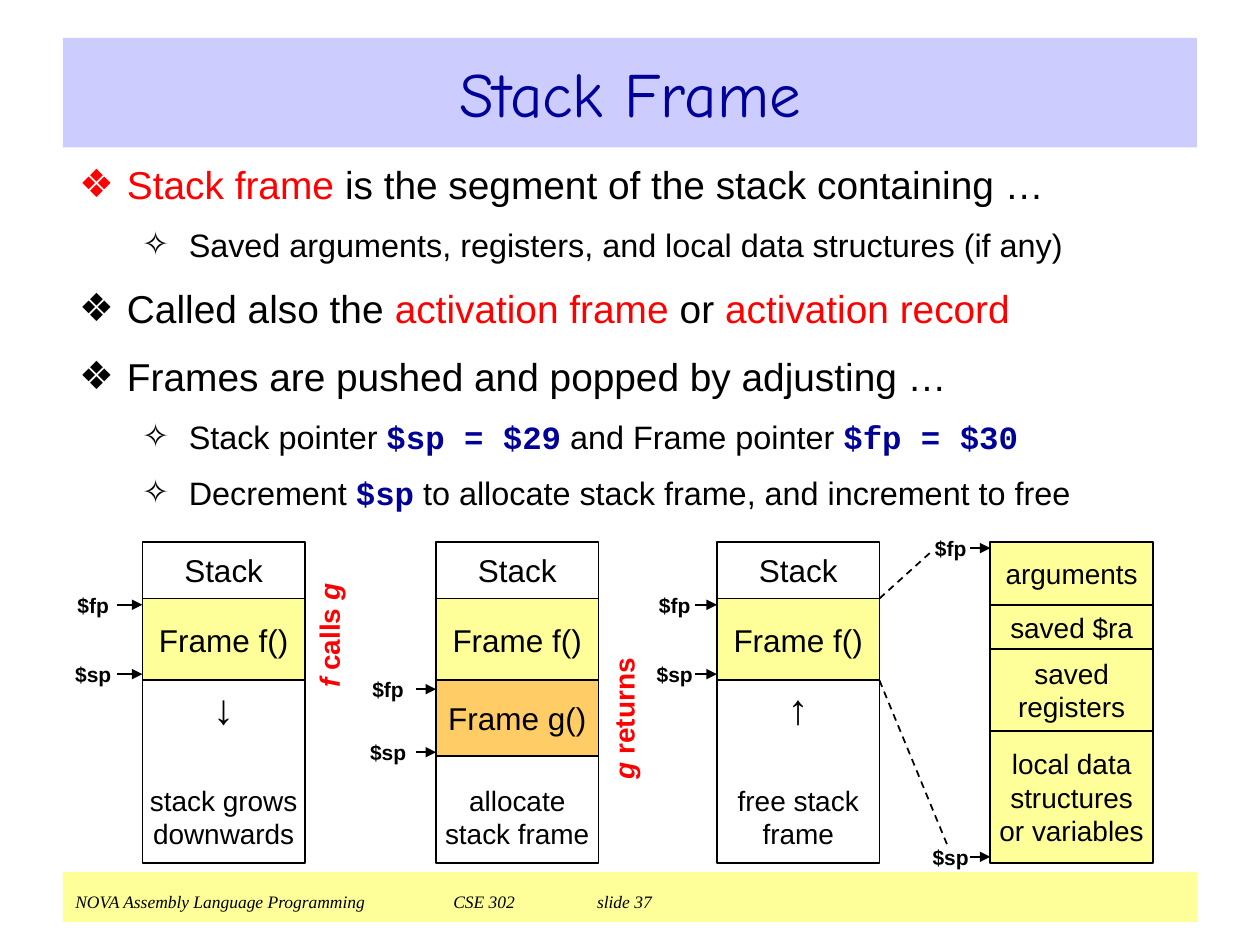
from dataclasses import dataclass

from lxml.etree import SubElement
from pptx import Presentation
from pptx.dml.color import RGBColor
from pptx.enum.dml import MSO_LINE
from pptx.enum.shapes import MSO_CONNECTOR, MSO_SHAPE
from pptx.enum.text import MSO_ANCHOR, PP_ALIGN
from pptx.oxml.ns import qn
from pptx.util import Pt

PX = 9144
BLACK = RGBColor(0x00, 0x00, 0x00)
WHITE = RGBColor(0xFF, 0xFF, 0xFF)
RED = RGBColor(0xFF, 0x00, 0x00)
NAVY = RGBColor(0x00, 0x00, 0x99)
LAVENDER = RGBColor(0xCC, 0xCC, 0xFF)
YELLOW = RGBColor(0xFF, 0xFF, 0x99)
ORANGE = RGBColor(0xFF, 0xCC, 0x66)
STACK_TOP = 430
STACK_WIDTH = 129
BULLETS = {0: ("❖", 38, -38, 22.2, 12), 1: ("✧", 87, -37, 18.5, 10)}


@dataclass(frozen=True)
class Span:
    text: str
    color: RGBColor = BLACK
    font: str = "Arial"
    bold: bool = False
    italic: bool = False


@dataclass(frozen=True)
class Bullet:
    level: int
    spans: tuple[Span, ...]
    color: RGBColor = BLACK


@dataclass(frozen=True)
class Cell:
    text: str
    height: int
    fill: RGBColor = YELLOW
    size: int = 18
    at_bottom: bool = False
    arrow: str = ""


@dataclass(frozen=True)
class Stack:
    left: int
    cells: tuple[Cell, ...]
    label_left: int
    label_width: int
    arrow_left: int
    frame_pointer: int
    stack_pointer: int


@dataclass(frozen=True)
class Caption:
    left: int
    top: int
    width: int
    spans: tuple[Span, ...]


def code(text: str) -> Span:
    return Span(text, NAVY, "Courier New", bold=True)


def style(run, size: float, span: Span) -> None:
    run.font.size = Pt(size)
    run.font.name = span.font
    run.font.color.rgb = span.color
    run.font.bold = span.bold
    run.font.italic = span.italic


def write(paragraph, size: float, spans: tuple[Span, ...]) -> None:
    for span in spans:
        run = paragraph.add_run()
        run.text = span.text
        style(run, size, span)


def set_frame(shape, margins: tuple[int, int, int, int], anchor=MSO_ANCHOR.TOP):
    frame = shape.text_frame
    frame.word_wrap = True
    frame.vertical_anchor = anchor
    (frame.margin_left, frame.margin_top,
     frame.margin_right, frame.margin_bottom) = (value * PX for value in margins)
    return frame


def add_rectangle(slide, left: int, top: int, width: int, height: int, fill: RGBColor, outlined: bool):
    shape = slide.shapes.add_shape(MSO_SHAPE.RECTANGLE, left * PX, top * PX, width * PX, height * PX)
    shape.shadow.inherit = False
    shape.fill.solid()
    shape.fill.fore_color.rgb = fill
    if outlined:
        shape.line.color.rgb = BLACK
        shape.line.width = Pt(1)
    else:
        shape.line.fill.background()
    return shape


def add_text_box(slide, left: int, top: int, width: int, height: int):
    return slide.shapes.add_textbox(left * PX, top * PX, width * PX, height * PX)


def add_line(slide, x1: int, y1: int, x2: int, y2: int, dashed: bool = False) -> None:
    line = slide.shapes.add_connector(MSO_CONNECTOR.STRAIGHT, x1 * PX, y1 * PX, x2 * PX, y2 * PX)
    line.line.color.rgb = BLACK
    line.line.width = Pt(1)
    if dashed:
        line.line.dash_style = MSO_LINE.DASH
    else:
        SubElement(line.line._get_or_add_ln(), qn("a:tailEnd"), type="triangle")
    SubElement(line._element.spPr, qn("a:effectLst"))


def add_footer(slide) -> None:
    shape = add_rectangle(slide, 50, 692, 900, 40, YELLOW, False)
    paragraph = set_frame(shape, (10, 15, 10, 5)).paragraphs[0]
    paragraph.alignment = PP_ALIGN.LEFT
    paragraph.text = "NOVA Assembly Language Programming\tCSE 302\tslide 37"
    tabs = SubElement(paragraph._p.get_or_add_pPr(), qn("a:tabLst"))
    for position in (300, 414):
        SubElement(tabs, qn("a:tab"), pos=str(position * PX), algn="l")
    for run in paragraph.runs:
        style(run, 10, Span(run.text, font="Times New Roman", italic=True))


def add_title(slide, text: str) -> None:
    shape = add_rectangle(slide, 50, 30, 900, 87, LAVENDER, False)
    paragraph = set_frame(shape, (10, 5, 10, 5), MSO_ANCHOR.MIDDLE).paragraphs[0]
    paragraph.alignment = PP_ALIGN.CENTER
    write(paragraph, 36, (Span(text, NAVY, "Comic Neue"),))


def add_bullets(slide, bullets: tuple[Bullet, ...]) -> None:
    frame = set_frame(add_text_box(slide, 53, 123, 894, 290), (10, 5, 10, 5))
    for index, bullet in enumerate(bullets):
        paragraph = frame.add_paragraph() if index else frame.paragraphs[0]
        symbol, margin, indent, size, space = BULLETS[bullet.level]
        paragraph.level = bullet.level
        paragraph.space_before = Pt(space)
        properties = paragraph._p.get_or_add_pPr()
        properties.set("marL", str(margin * PX))
        properties.set("indent", str(indent * PX))
        color = SubElement(properties, qn("a:buClr"))
        SubElement(color, qn("a:srgbClr"), val=str(bullet.color))
        SubElement(properties, qn("a:buFont"), typeface="Arial")
        SubElement(properties, qn("a:buChar"), char=symbol)
        write(paragraph, size, bullet.spans)


def add_cell(slide, left: int, top: int, cell: Cell) -> None:
    shape = add_rectangle(slide, left, top, STACK_WIDTH, cell.height, cell.fill, True)
    anchor = MSO_ANCHOR.BOTTOM if cell.at_bottom else MSO_ANCHOR.MIDDLE
    frame = set_frame(shape, (0, 0, 0, 10 if cell.at_bottom else 0), anchor)
    frame.text = f"{cell.arrow}\n{cell.text}" if cell.arrow else cell.text
    for paragraph in frame.paragraphs:
        paragraph.alignment = PP_ALIGN.CENTER
        for run in paragraph.runs:
            is_arrow = run.text == cell.arrow
            style(run, 24 if is_arrow else cell.size, Span(run.text, bold=is_arrow))
    if cell.arrow:
        frame.paragraphs[1].space_before = Pt(29)


def add_stack(slide, stack: Stack) -> None:
    top = STACK_TOP
    for cell in stack.cells:
        add_cell(slide, stack.left, top, cell)
        top += cell.height
    for label, y in (("$fp", stack.frame_pointer), ("$sp", stack.stack_pointer)):
        add_line(slide, stack.arrow_left, y, stack.left, y)
        box = add_text_box(slide, stack.label_left, y - 15, stack.label_width, 30)
        paragraph = set_frame(box, (0, 5, 0, 5)).paragraphs[0]
        paragraph.alignment = PP_ALIGN.CENTER
        write(paragraph, 12, (Span(label, bold=True),))


def add_caption(slide, caption: Caption) -> None:
    box = add_text_box(slide, caption.left, caption.top, caption.width, 27)
    box.rotation = 270
    paragraph = set_frame(box, (0, 0, 0, 0)).paragraphs[0]
    paragraph.alignment = PP_ALIGN.CENTER
    write(paragraph, 16, caption.spans)


def red(text: str, italic: bool = False) -> Span:
    return Span(text, RED, bold=True, italic=italic)


BODY = (
    Bullet(0, (Span("Stack frame", RED), Span(" is the segment of the stack containing …")), RED),
    Bullet(1, (Span("Saved arguments, registers, and local data structures (if any)"),)),
    Bullet(0, (Span("Called also the "), Span("activation frame", RED), Span(" or "),
               Span("activation record", RED))),
    Bullet(0, (Span("Frames are pushed and popped by adjusting …"),)),
    Bullet(1, (Span("Stack pointer "), code("$sp = $29"), Span(" and Frame pointer "), code("$fp = $30"))),
    Bullet(1, (Span("Decrement "), code("$sp"), Span(" to allocate stack frame, and increment to free"))),
)
CALLER = (Cell("Stack", 45, WHITE), Cell("Frame f()", 65))
GROWS = Cell("stack grows downwards", 145, WHITE, 16, True, "↓")
FRAME_G = Cell("Frame g()", 60, ORANGE)
ALLOCATE = Cell("allocate stack frame", 85, WHITE, 16, True)
FREE = Cell("free stack frame", 145, WHITE, 16, True, "↑")
DETAIL = (Cell("arguments", 50, size=16), Cell("saved $ra", 35, size=16),
          Cell("saved registers", 65, size=16),
          Cell("local data structures\nor variables", 105, size=16))
STACKS = (
    Stack(113, (*CALLER, GROWS), 55, 38, 93, 480, 535),
    Stack(346, (*CALLER, FRAME_G, ALLOCATE), 292, 32, 330, 547, 597),
    Stack(569, (*CALLER, FREE), 519, 33, 552, 480, 535),
    Stack(786, DETAIL, 739, 31, 770, 435, 680),
)
CAPTIONS = (
    Caption(201, 491, 120, (red("f", True), red(" calls "), red("g", True))),
    Caption(438, 557, 114, (red("g", True), red(" returns"))),
)


def main() -> None:
    presentation = Presentation()
    presentation.slide_width = 1000 * PX
    presentation.slide_height = 750 * PX
    slide = presentation.slides.add_slide(presentation.slide_layouts[6])
    add_footer(slide)
    add_title(slide, "Stack Frame")
    add_bullets(slide, BODY)
    for stack in STACKS:
        add_stack(slide, stack)
    for caption in CAPTIONS:
        add_caption(slide, caption)
    add_line(slide, 698, 540, 752, 671, dashed=True)
    add_line(slide, 698, 475, 739, 438, dashed=True)
    presentation.save("out.pptx")


if __name__ == "__main__":
    main()
